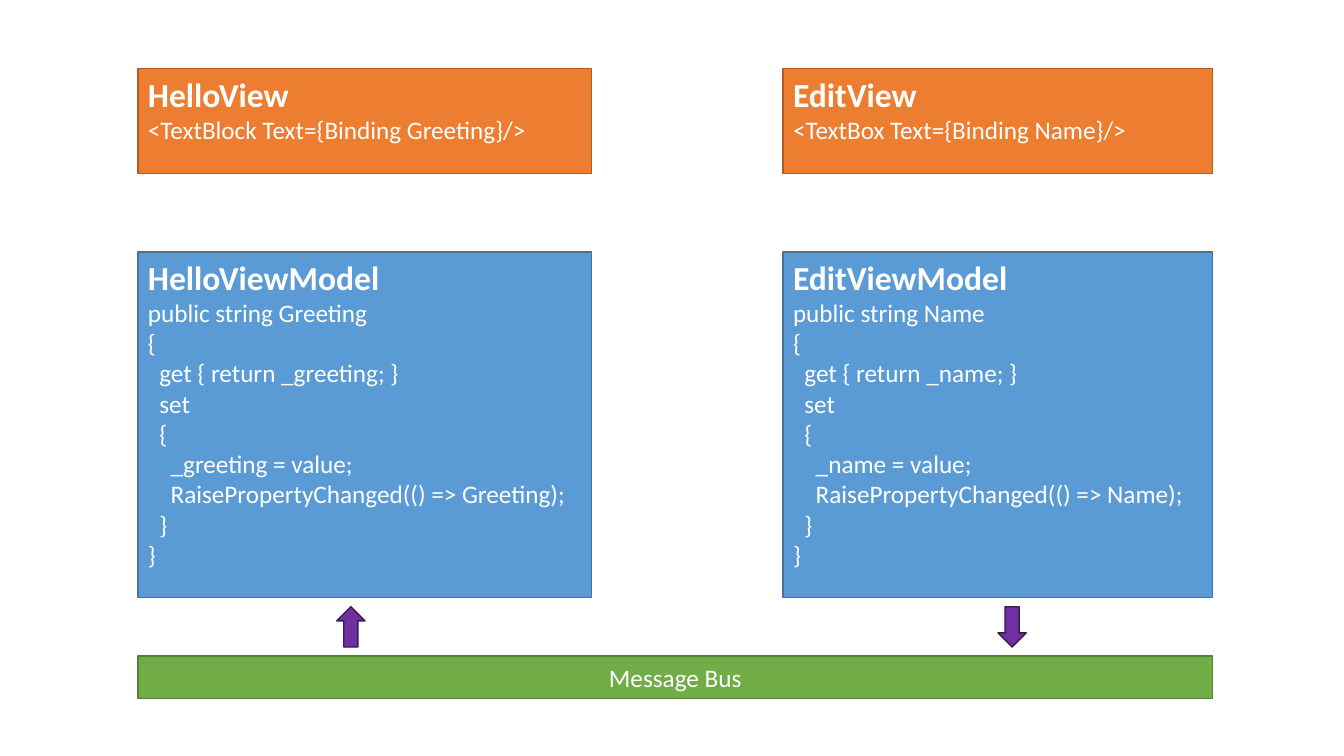
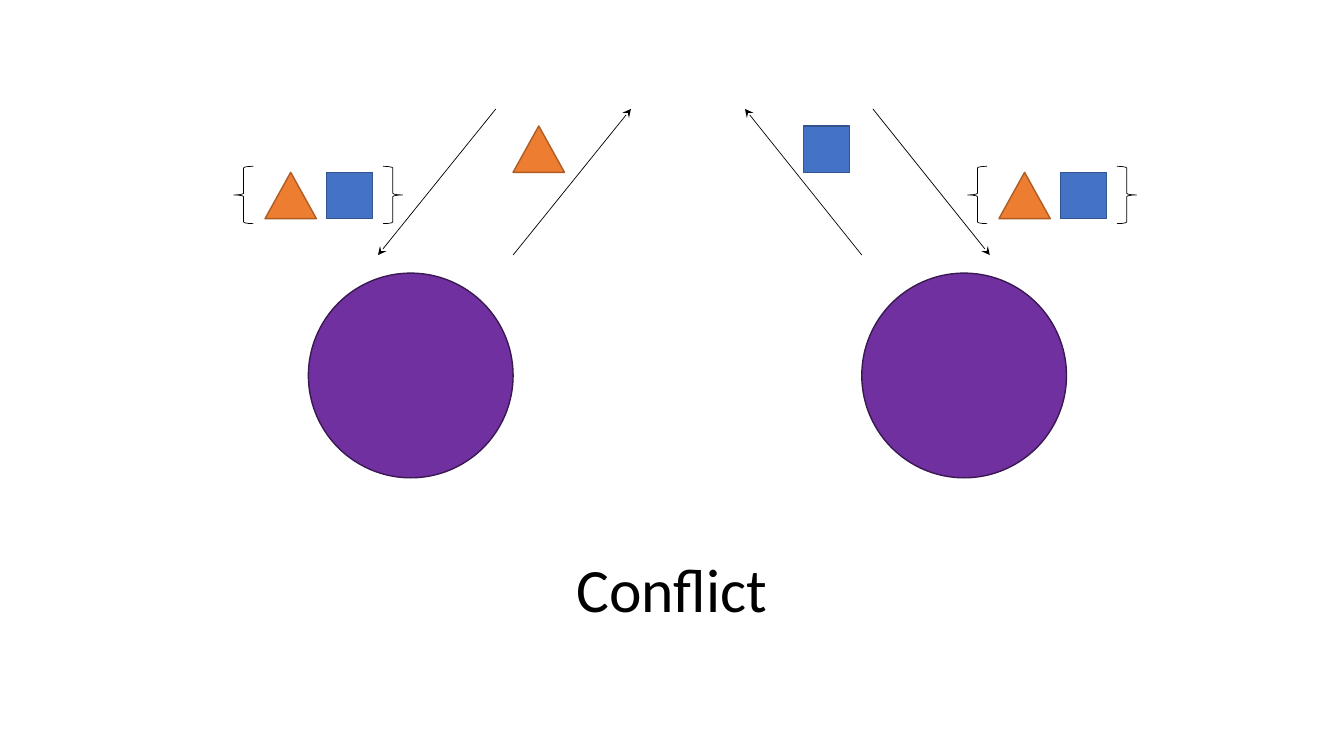
from dataclasses import dataclass

import pptx
import pptx.dml.color
import pptx.enum.shapes
import pptx.enum.text
import pptx.oxml.ns
import pptx.util
from lxml import etree

Pt = pptx.util.Pt
Kind = pptx.enum.shapes.MSO_SHAPE
Align = pptx.enum.text.PP_ALIGN
Anchor = pptx.enum.text.MSO_ANCHOR


@dataclass(frozen=True)
class Theme:
    font: str = "Calibri"
    title_size: float = 44
    heading_size: float = 24
    body_size: float = 18
    outline: float = 1
    hairline: float = 0.5
    black: str = "000000"
    white: str = "FFFFFF"
    # Each pair is fill and outline.
    orange: tuple = ("ED7D31", "AF5C24")
    sky: tuple = ("5B9BD5", "43739E")
    blue: tuple = ("4472C4", "325491")
    green: tuple = ("70AD47", "538035")
    purple: tuple = ("7030A0", "3A1953")


def rgb(value):
    return pptx.dml.color.RGBColor.from_string(value)


class Deck:
    TITLE_ONLY, BLANK = 5, 6

    def __init__(self, theme):
        self.theme = theme
        self.presentation = pptx.Presentation()
        self.presentation.slide_width = Pt(960)
        self.presentation.slide_height = Pt(540)
        self.slide = None

    def new_slide(self, layout):
        layouts = self.presentation.slide_layouts
        self.slide = self.presentation.slides.add_slide(layouts[layout])

    def add_run(self, paragraph, text, size, color, bold=False):
        run = paragraph.add_run()
        run.text = text
        run.font.name = self.theme.font
        run.font.size = Pt(size)
        run.font.bold = bold
        run.font.color.rgb = rgb(color)

    def title(self, text, left, top, width, height):
        shape = self.slide.shapes.title
        shape.left, shape.top = Pt(left), Pt(top)
        shape.width, shape.height = Pt(width), Pt(height)
        shape.text_frame.vertical_anchor = Anchor.MIDDLE
        paragraph = shape.text_frame.paragraphs[0]
        paragraph.alignment = Align.CENTER
        paragraph.line_spacing = 0.9
        self.add_run(paragraph, text, self.theme.title_size, self.theme.black)

    def shape(self, kind, left, top, width, height, colors):
        shape = self.slide.shapes.add_shape(
            kind, Pt(left), Pt(top), Pt(width), Pt(height))
        shape.shadow.inherit = False
        fill, outline = colors
        shape.fill.solid()
        shape.fill.fore_color.rgb = rgb(fill)
        shape.line.color.rgb = rgb(outline)
        shape.line.width = Pt(self.theme.outline)
        return shape

    def brace(self, kind, left, top, width, height):
        black = self.theme.black
        shape = self.shape(kind, left, top, width, height, (black, black))
        shape.fill.background()
        shape.line.width = Pt(self.theme.hairline)

    def code_box(self, left, top, width, height, colors, heading, lines):
        shape = self.shape(Kind.RECTANGLE, left, top, width, height, colors)
        frame = shape.text_frame
        frame.word_wrap = True
        frame.vertical_anchor = Anchor.TOP
        for index, text in enumerate([heading, *lines]):
            paragraph = frame.add_paragraph() if index else frame.paragraphs[0]
            paragraph.alignment = Align.LEFT
            size = self.theme.body_size if index else self.theme.heading_size
            self.add_run(paragraph, text, size, self.theme.white, bold=index == 0)

    def band(self, text, left, top, width, height, colors):
        shape = self.shape(Kind.RECTANGLE, left, top, width, height, colors)
        shape.text_frame.vertical_anchor = Anchor.MIDDLE
        paragraph = shape.text_frame.paragraphs[0]
        paragraph.alignment = Align.CENTER
        self.add_run(paragraph, text, self.theme.body_size, self.theme.white)

    def arrow(self, start, end):
        connector = self.slide.shapes.add_connector(
            pptx.enum.shapes.MSO_CONNECTOR.STRAIGHT,
            *(Pt(length) for length in (*start, *end)))
        connector.line.color.rgb = rgb(self.theme.black)
        connector.line.width = Pt(self.theme.hairline)
        qn = pptx.oxml.ns.qn
        properties = connector.element.spPr
        head = etree.SubElement(properties.find(qn("a:ln")), qn("a:tailEnd"))
        head.set("type", "stealth")
        etree.SubElement(properties, qn("a:effectLst"))


def property_code(name):
    field = "_" + name.lower()
    return [
        f"public string {name}",
        "{",
        f"  get {{ return {field}; }}",
        "  set",
        "  {",
        f"    {field} = value;",
        f"    RaisePropertyChanged(() => {name});",
        "  }",
        "}",
    ]


def message_bus_slide(deck):
    theme = deck.theme
    deck.new_slide(deck.BLANK)
    columns = [
        (98.6, 324, "Hello", "TextBlock", "Greeting", Kind.UP_ARROW, 240.5),
        (559.4, 306.7, "Edit", "TextBox", "Name", Kind.DOWN_ARROW, 712.8),
    ]
    for left, width, view, control, name, arrow, arrow_left in columns:
        deck.code_box(left, 49, width, 75, theme.orange, f"{view}View",
                      [f"<{control} Text={{Binding {name}}}/>"])
        deck.code_box(left, 180, width, 247, theme.sky, f"{view}ViewModel",
                      property_code(name))
        deck.shape(arrow, arrow_left, 433.4, 20.2, 28.8, theme.purple)
    deck.band("Message Bus", 98.6, 468.7, 767.5, 30.2, theme.green)


def conflict_slide(deck):
    theme = deck.theme
    triangle_width, side = 36.7, 33.1
    deck.new_slide(deck.TITLE_ONLY)
    deck.title("Conflict", 66, 371, 828, 104.4)

    for left in (220.3, 615.6):
        deck.shape(Kind.OVAL, left, 195.1, 146.2, 146.2, theme.purple)

    upper, lower = 77.8, 182.2
    for bottom_x, top_x in ((366.5, 450.7), (615.6, 532.1)):
        deck.arrow((bottom_x, lower), (top_x, upper))
    for top_x, bottom_x in ((623.5, 707), (354.2, 270)):
        deck.arrow((top_x, upper), (bottom_x, lower))

    def triangle(left, top):
        deck.shape(Kind.ISOSCELES_TRIANGLE, left, top,
                   triangle_width, side, theme.orange)

    def square(left, top):
        deck.shape(Kind.RECTANGLE, left, top, side, side, theme.blue)

    triangle(366.5, 90)
    square(573.8, 90)
    for left in (167, 691.2):
        deck.brace(Kind.LEFT_BRACE, left, 118.8, 14, 41)
        triangle(left + 22.3, 123.1)
        square(left + 66.2, 123.1)
        deck.brace(Kind.RIGHT_BRACE, left + 106.6, 118.8, 14, 41)


def main():
    deck = Deck(Theme())
    message_bus_slide(deck)
    conflict_slide(deck)
    deck.presentation.save("out.pptx")


if __name__ == "__main__":
    main()
